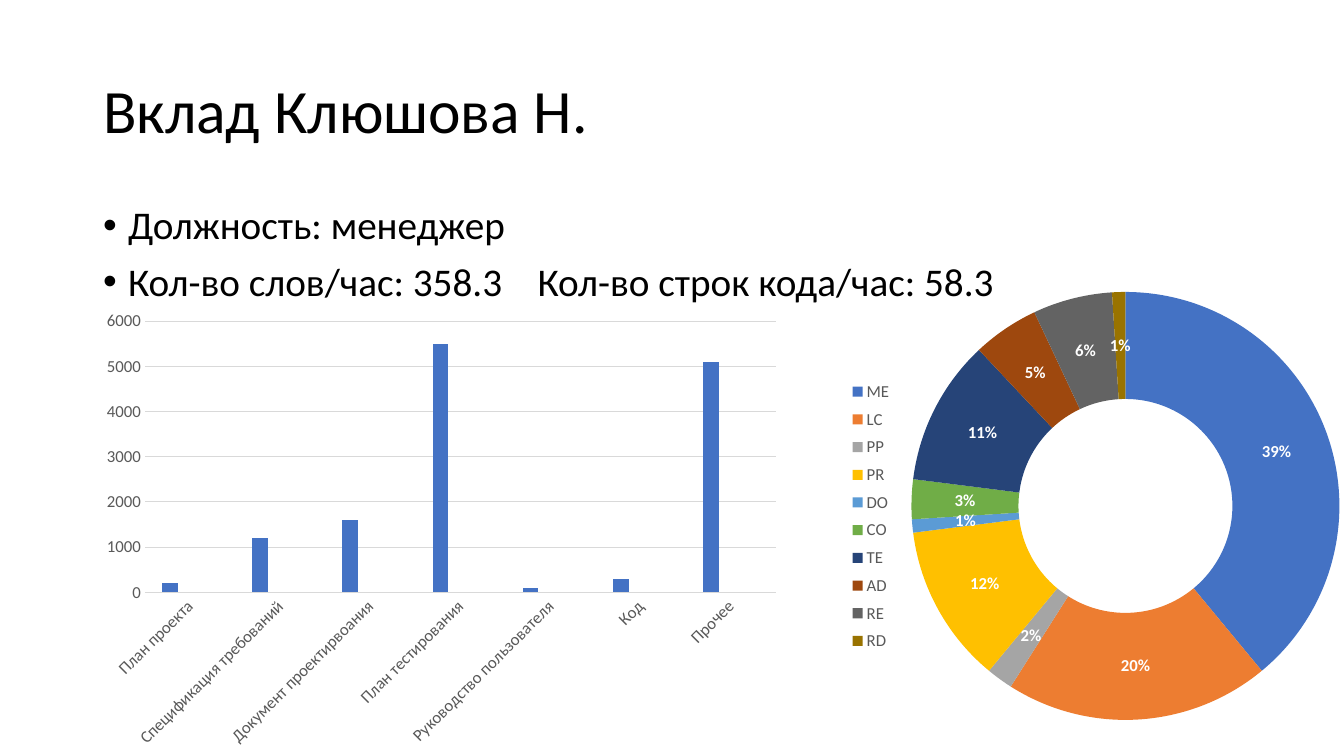
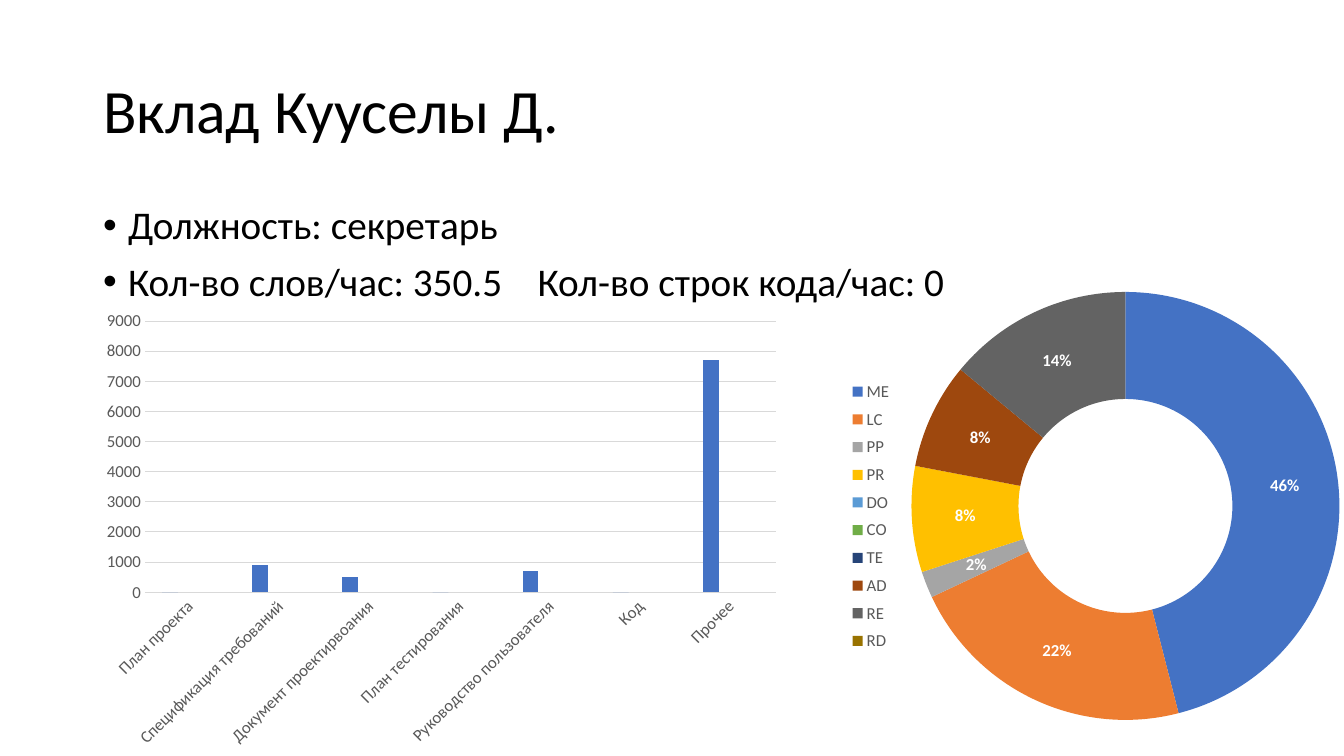
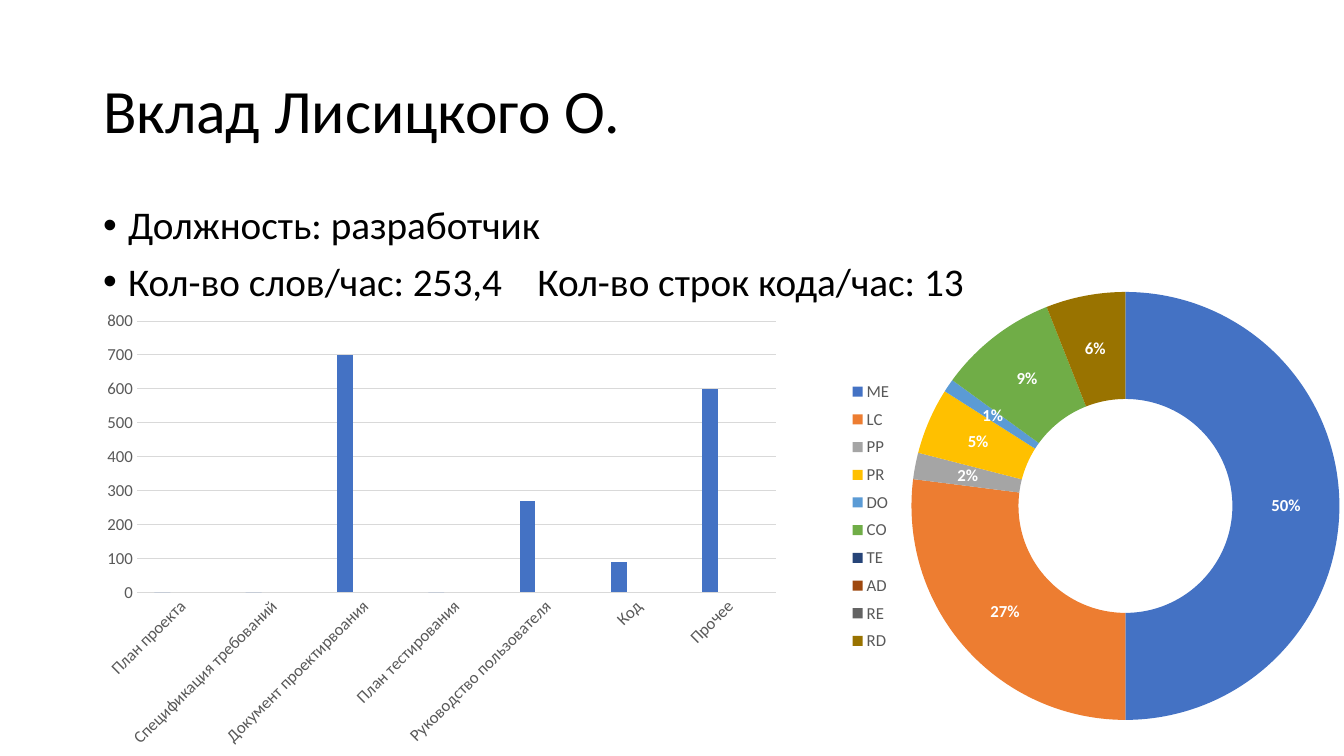
from dataclasses import dataclass

from lxml import etree
from pptx import Presentation
from pptx.chart.data import CategoryChartData
from pptx.dml.color import RGBColor
from pptx.enum.chart import XL_CHART_TYPE, XL_LEGEND_POSITION, XL_TICK_MARK
from pptx.enum.text import MSO_ANCHOR, MSO_AUTO_SIZE, PP_ALIGN
from pptx.oxml.ns import qn
from pptx.util import Pt

RING = XL_CHART_TYPE.DOUGHNUT
COLUMN = XL_CHART_TYPE.COLUMN_CLUSTERED
LEFT_KEY = XL_LEGEND_POSITION.LEFT
NO_TICK = XL_TICK_MARK.NONE
LEFT = PP_ALIGN.LEFT
MIDDLE, TOP = MSO_ANCHOR.MIDDLE, MSO_ANCHOR.TOP
NO_FIT = MSO_AUTO_SIZE.NONE

SCALE = 12192000 / 1344
WIDE, HIGH = 1344, 756


@dataclass(frozen=True)
class Theme:
    """Colours, font and type sizes of the deck."""
    font: str = "Calibri"
    ink: str = "000000"
    soft: str = "595959"
    rule: str = "D9D9D9"
    light: str = "FFFFFF"
    tints: tuple = ("4472C4", "ED7D31", "A5A5A5", "FFC000", "5B9BD5",
                    "70AD47", "264478", "9E480E", "636363", "997300")
    head: int = 44
    body: int = 28
    label: int = 12
    chart: int = 10
    hair: float = 0.75


TITLE = (93, 40, 1159, 147)
LIST = (93, 201, 1159, 480)
HOURS = (773, 277, 649, 456)
WORDS = (93, 302, 697, 455)
PLOT = (138, 15, 429, 428)
KEY = (72, 97, 52, 285)
INDENT = 25
GAP = 19  # points added to the space between the two rates

TASKS = ("ME", "LC", "PP", "PR", "DO", "CO", "TE", "AD", "RE", "RD")
PAPERS = ("План проекта", "Спецификация требований",
          "Документ проектирвоания", "План тестирования",
          "Руководство пользователя", "Код", "Прочее")

# name, role, words per hour, lines per hour, hours, words, axis top and step
PEOPLE = (
    ("Клюшова Н.", "менеджер", "358.3", "58.3",
     (39, 20, 2, 12, 1, 3, 11, 5, 6, 1),
     (200, 1200, 1600, 5500, 100, 300, 5100), 6000, 1000),
    ("Кууселы Д.", "секретарь", "350.5", "0",
     (46, 22, 2, 8, 0, 0, 0, 8, 14, 0),
     (0, 900, 500, 0, 700, 0, 7700), 9000, 1000),
    ("Лисицкого О.", "разработчик", "253,4", "13",
     (50, 27, 2, 5, 1, 9, 0, 0, 0, 6),
     (0, 0, 700, 0, 270, 90, 600), 800, 100),
)


def px(size):
    """Turn pixels into EMU."""
    return round(size * SCALE)


def paint(fill, tint):
    """Give a fill one solid colour."""
    fill.solid()
    fill.fore_color.rgb = RGBColor.from_string(tint)


def node(parent, tag, val=None):
    """Add a chart element to its parent."""
    item = etree.SubElement(parent, qn("c:" + tag))
    if val is not None:
        item.set("val", str(val))
    return item


def fix(parent, spot, box, frame):
    """Fix a chart part at a pixel box inside the chart frame."""
    for old in parent.findall(qn("c:layout")):
        parent.remove(old)
    layout = etree.Element(qn("c:layout"))
    hand = node(layout, "manualLayout")
    if parent.tag == qn("c:plotArea"):
        node(hand, "layoutTarget", "inner")
    node(hand, "xMode", "edge")
    node(hand, "yMode", "edge")
    for tag, size, full in zip("xywh", box, frame[2:] * 2):
        node(hand, tag, size / full)
    parent.insert(spot, layout)


class Deck:
    """Holds the style and the current slide."""

    def __init__(self, theme):
        """Start an empty wide deck."""
        self.theme = theme
        self.file = Presentation()
        self.file.slide_width, self.file.slide_height = px(WIDE), px(HIGH)
        self.slide = None

    def page(self):
        """Open a new slide with a title and a list."""
        self.slide = self.file.slides.add_slide(self.file.slide_layouts[1])

    def style(self, font, size, tint, bold=False):
        """Set the look of a font."""
        font.name, font.size, font.bold = self.theme.font, Pt(size), bold
        font.color.rgb = RGBColor.from_string(tint)

    def frame(self, spot, box, anchor):
        """Move a placeholder and return its text frame."""
        shape = self.slide.placeholders[spot]
        shape.left, shape.top, shape.width, shape.height = map(px, box)
        text = shape.text_frame
        text.word_wrap, text.auto_size = True, NO_FIT
        text.vertical_anchor = anchor
        return text

    def title(self, words):
        """Write the title."""
        text = self.frame(0, TITLE, MIDDLE)
        text.text = words
        para = text.paragraphs[0]
        para.alignment, para.line_spacing = LEFT, 0.9
        self.style(para.font, self.theme.head, self.theme.ink)

    def bullets(self, lines):
        """Write list lines, each a tuple of parts set apart by a gap."""
        text = self.frame(1, LIST, TOP)
        for i, parts in enumerate(lines):
            para = text.add_paragraph() if i else text.paragraphs[0]
            para.line_spacing, para.space_before = 0.9, Pt(10)
            self.style(para.font, self.theme.body, self.theme.ink)
            props = para._p.get_or_add_pPr()
            props.set("marL", str(px(INDENT)))
            props.set("indent", str(-px(INDENT)))
            for j, part in enumerate(parts):
                if j:
                    space = para.add_run()
                    space.text = " "
                    space._r.get_or_add_rPr().set("spc", str(GAP * 100))
                para.add_run().text = part

    def chart(self, kind, box, cats, rows):
        """Add a chart in the deck's font."""
        data = CategoryChartData()
        data.categories = cats
        for i, row in enumerate(rows, 1):
            data.add_series(f"Series {i}", row)
        chart = self.slide.shapes.add_chart(kind, *map(px, box), data).chart
        chart.has_title = False
        self.style(chart.font, self.theme.chart, self.theme.ink)
        return chart

    def ring(self, vals):
        """Add the doughnut of hours by task."""
        look = self.theme
        chart = self.chart(RING, HOURS, TASKS, [vals])
        chart.has_legend = True
        key = chart.legend
        key.position, key.include_in_layout = LEFT_KEY, False
        self.style(key.font, look.label, look.soft)
        fix(key._element, 1, KEY, HOURS)
        fix(chart._chartSpace.find(".//" + qn("c:plotArea")), 0, PLOT, HOURS)
        row = chart.plots[0].series[0]
        for i, tint in enumerate(look.tints):
            paint(row.points[i].format.fill, tint)
        labels = row.data_labels
        labels.show_percentage, labels.show_value = True, False
        labels.number_format, labels.number_format_is_linked = "0%", False
        self.style(labels.font, look.label, look.light, True)
        empty = [i for i, val in enumerate(vals) if not val]
        for spot, i in enumerate(empty):
            label = etree.Element(qn("c:dLbl"))
            node(label, "idx", i)
            node(label, "delete", 1)
            labels._element.insert(spot, label)

    def columns(self, vals, top, step):
        """Add the column chart of words by paper."""
        look = self.theme
        blank = [None] * len(PAPERS)
        chart = self.chart(COLUMN, WORDS, PAPERS, [vals, blank, blank])
        chart.has_legend = False
        plot = chart.plots[0]
        plot.gap_width, plot.overlap = 219, -27
        plot.vary_by_categories = False
        for row, tint in zip(plot.series, look.tints):
            paint(row.format.fill, tint)
            row.invert_if_negative = False
        cat, val = chart.category_axis, chart.value_axis
        for axis in (cat, val):
            axis.major_tick_mark = axis.minor_tick_mark = NO_TICK
            self.style(axis.tick_labels.font, look.label, look.soft)
        turn = cat._element.find(qn("c:txPr")).find(qn("a:bodyPr"))
        turn.set("rot", "-60000000")
        turn.set("vert", "horz")
        val.minimum_scale, val.maximum_scale, val.major_unit = 0, top, step
        val.has_major_gridlines = True
        for line in (cat.format.line, val.major_gridlines.format.line):
            paint(line.fill, look.rule)
            line.width = Pt(look.hair)
        val.format.line.fill.background()


def main():
    """Build one slide for each person."""
    deck = Deck(Theme())
    for name, role, pace, code, hours, words, top, step in PEOPLE:
        deck.page()
        deck.title(f"Вклад {name}")
        deck.bullets([(f"Должность: {role}",),
                      (f"Кол-во слов/час: {pace}",
                       f"Кол-во строк кода/час: {code}")])
        deck.ring(hours)
        deck.columns(words, top, step)
    deck.file.save("out.pptx")


main()
